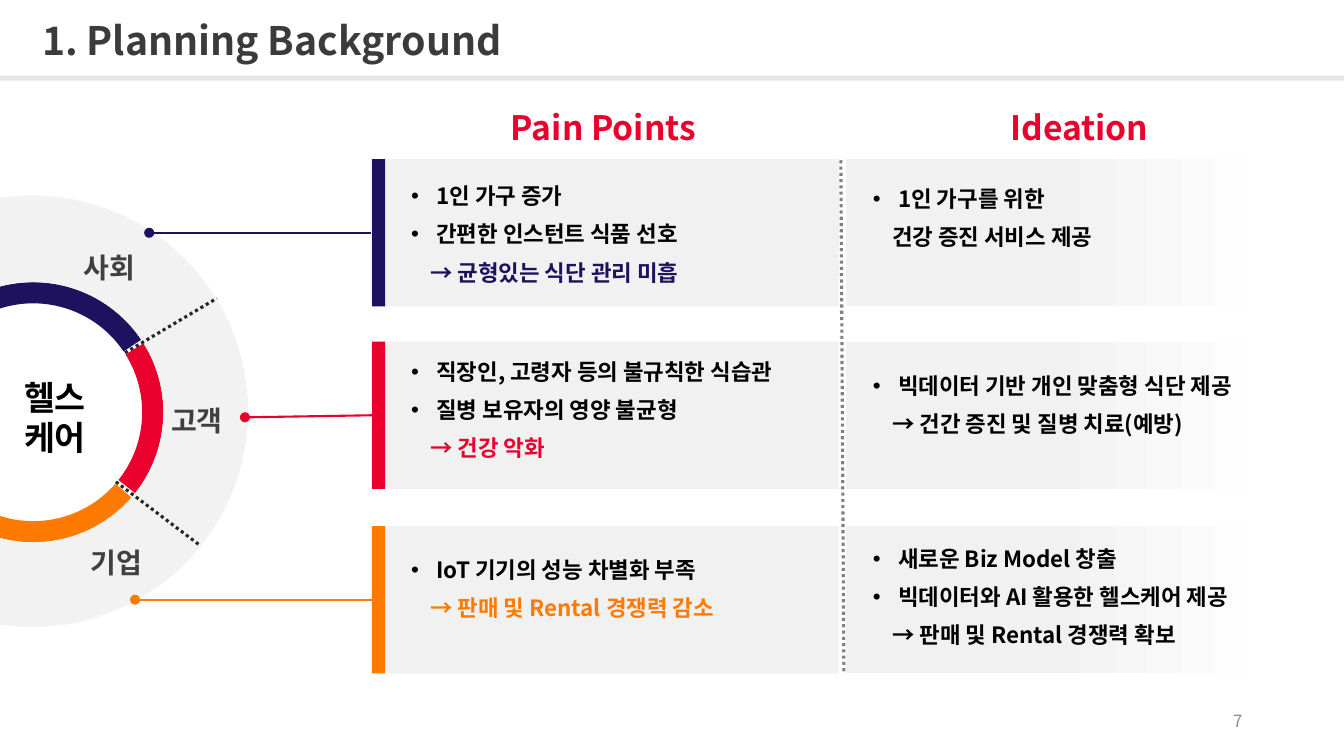
from copy import deepcopy
from math import cos, pi, radians, sin, tan

from lxml import etree
from pptx import Presentation
from pptx import util as u
from pptx.dml.color import RGBColor
from pptx.enum import dml, shapes, text
from pptx.oxml.ns import qn

PX = 9144  # 100 px to the inch
FACE = "Noto Sans CJK KR"
NAVY, RED, ORANGE = "1E125E", "E9002D", "FF7A01"
BLACK, GREY, PALE, WHITE = "000000", "404040", "F1F1F1", "FFFFFF"
RIM, HUB = (32, 408), (33, 409)

# colour, top, label and its place, dot, line end, arc angles
ROWS = [
    (NAVY, 158, "사회", (73, 244), (143, 226), (368, 231), (-112.5, -33.9)),
    (RED, 339, "고객", (160, 395), (238, 409), (369, 412), (-32, 38.5)),
    (ORANGE, 522, "기업", (80, 536), (129, 590), (369, 595), (41, 127)),
]
PAINS = [
    (179, ["1인 가구 증가", "간편한 인스턴트 식품 선호"], "→ 균형있는 식단 관리 미흡"),
    (353, ["직장인, 고령자 등의 불규칙한 식습관", "질병 보유자의 영양 불균형"], "→ 건강 악화"),
    (550, ["IoT 기기의 성능 차별화 부족"], "→ 판매 및 Rental 경쟁력 감소"),
]
IDEAS = [
    (182, ["1인 가구를 위한"], "건강 증진 서비스 제공"),
    (367, ["빅데이터 기반 개인 맞춤형 식단 제공"], "→ 건간 증진 및 질병 치료(예방)"),
    (539, ["새로운 Biz Model 창출", "빅데이터와 AI 활용한 헬스케어 제공"], "→ 판매 및 Rental 경쟁력 확보"),
]


def px(*nums):
    return [u.Emu(round(n * PX)) for n in nums]


def tint(code):
    return RGBColor.from_string(code)


def paint(shape, color):
    shape.shadow.inherit = False
    shape.line.fill.background()
    shape.fill.solid()
    shape.fill.fore_color.rgb = tint(color)
    return shape


def block(slide, color, box, kind=shapes.MSO_SHAPE.RECTANGLE):
    return paint(slide.shapes.add_shape(kind, *px(*box)), color)


def fade(shape):
    """Fill from pale grey on the left to white on the right."""
    fill = shape.fill
    fill.gradient()
    fill.gradient_angle = 0
    stops = shape._element.spPr.find(qn("a:gradFill")).find(qn("a:gsLst"))
    for stop in list(stops):
        stops.append(deepcopy(stop))
    marks = [(0, PALE), (0.43, PALE), (0.93, WHITE), (1, WHITE)]
    for stop, (place, color) in zip(fill.gradient_stops, marks):
        stop.position = place
        stop.color.rgb = tint(color)


def wire(slide, color, start, end, width, dots=False):
    line = slide.shapes.add_connector(
        shapes.MSO_CONNECTOR.STRAIGHT, *px(*start, *end))
    line.line.color.rgb = tint(color)
    line.line.width = u.Pt(width)
    if dots:
        line.line.dash_style = dml.MSO_LINE.ROUND_DOT
    etree.SubElement(line._element.spPr, qn("a:effectLst"))


def curve(mid, size, first, last, parts):
    """Give start, then two handles and an end for each part of an arc."""
    step = radians(last - first) / parts
    pull = 4 / 3 * tan(step / 4) * size

    def spot(turn, shift=0):
        return px(mid[0] + size * cos(turn) - shift * sin(turn),
                  mid[1] + size * sin(turn) + shift * cos(turn))

    dots = [spot(radians(first))]
    for i in range(parts):
        turn = radians(first) + i * step
        dots += [spot(turn, pull), spot(turn + step, -pull), spot(turn + step)]
    return dots


def bend(form):
    """Turn each three line steps into one curve, skipping the joins."""
    steps = list(form._element.iter(qn("a:lnTo")))
    for i in range(0, len(steps) - 2, 3):
        arc = etree.Element(qn("a:cubicBezTo"))
        steps[i].addprevious(arc)
        for step in steps[i:i + 3]:
            arc.append(step[0])
            step.getparent().remove(step)


def ring(slide):
    outer = curve(RIM, 214, 0, 360, 4)
    inner = curve(HUB, 129, 0, -360, 4)
    form = slide.shapes.build_freeform(*outer[0], scale=1.0)
    form.add_line_segments(outer[1:], close=True)
    form.move_to(*inner[0])
    form.add_line_segments(inner[1:], close=True)
    shape = paint(form.convert_to_shape(), "F2F2F2")
    bend(shape)


def band(slide, color, first, last):
    outer = curve(HUB, 129, first, last, 1)
    inner = curve(HUB, 108, last, first, 1)
    # A join with both handles on its ends is a straight side.
    side = [outer[-1], inner[0], inner[0]]
    form = slide.shapes.build_freeform(*outer[0], scale=1.0)
    form.add_line_segments(outer[1:] + side + inner[1:], close=True)
    bend(paint(form.convert_to_shape(), color))


def frame(slide, box, middle=False):
    body = slide.shapes.add_textbox(*px(*box)).text_frame
    body.word_wrap = True
    if middle:
        body.vertical_anchor = text.MSO_ANCHOR.MIDDLE
    return body


def write(para, words, size, color, bold=True):
    run = para.add_run()
    run.text = words
    look = {"size": u.Pt(size), "bold": bold, "name": FACE}
    for key, value in look.items():
        setattr(run.font, key, value)
    run.font.color.rgb = tint(color)
    east = etree.Element(qn("a:ea"), typeface=FACE)
    run.font._element.find(qn("a:latin")).addnext(east)
    return run


def label(slide, box, lines, size, color, align="LEFT", middle=False, bold=True):
    body = frame(slide, box, middle)
    for i, words in enumerate(lines):
        para = body.add_paragraph() if i else body.paragraphs[0]
        para.alignment = getattr(text.PP_ALIGN, align)
        write(para, words, size, color, bold)


def points(slide, box, items, close, color):
    """Write bulleted items and an indented closing line."""
    body = frame(slide, box)
    for i, words in enumerate(items + [close]):
        para = body.add_paragraph() if i else body.paragraphs[0]
        para.line_spacing = 0.9
        if i:
            para.space_before = u.Pt(10)
        props = para._p.get_or_add_pPr()
        last = i == len(items)
        left, hang = px(19, 0) if last else px(25, -25)
        props.set("marL", str(left))
        props.set("indent", str(hang))
        if not last:
            etree.SubElement(props, qn("a:buFont"), typeface="Arial")
            etree.SubElement(props, qn("a:buChar"), char="•")
        run = write(para, words, 16, color if last else BLACK)
        run.font._element.set("kern", "0")


def main():
    deck = Presentation()
    deck.slide_width, deck.slide_height = px(1333, 750)
    slide = deck.slides.add_slide(deck.slide_layouts[6])

    block(slide, "E7E6E6", (0, 75, 1333, 5))
    label(slide, (32, -3, 1000, 86), ["1. Planning Background"], 28, "3B3B3B",
          middle=True)
    label(slide, (14, 369, 104, 91), ["헬스", "케어"], 24, BLACK)
    for left, words in [(468, "Pain Points"), (940, "Ideation")]:
        label(slide, (left, 101, 261, 50), [words], 24, RED, "CENTER")

    for color, top, *_ in ROWS:
        block(slide, PALE, (368, top, 464, 146))
        block(slide, color, (369, top, 13, 146))
        fade(block(slide, PALE, (839, top, 464, 146)))
    wire(slide, "808080", (834, 159), (837, 668), 2.25, True)

    for color, *_, angles in ROWS:
        band(slide, color, *angles)
    ring(slide)
    wire(slide, "262626", (124, 350), (215, 296), 2.25, True)
    wire(slide, "262626", (115, 478), (197, 540), 2.25, True)
    for color, _, name, place, dot, end, _ in ROWS:
        block(slide, color, (*dot, 10, 10), shapes.MSO_SHAPE.OVAL)
        wire(slide, color, end, (dot[0] + 8, dot[1] + 5), 1.5)
        label(slide, (*place, 120, 44), [name], 20, GREY)

    for (color, *_), (top, items, close) in zip(ROWS, PAINS):
        points(slide, (398, top, 480, 110), items, close, color)
    for top, items, close in IDEAS:
        points(slide, (856, top, 477, 110), items, close, BLACK)
    label(slide, (942, 695, 300, 40), ["7"], 12, "8C8C8C", "RIGHT", True, False)

    deck.save("out.pptx")


if __name__ == "__main__":
    main()
